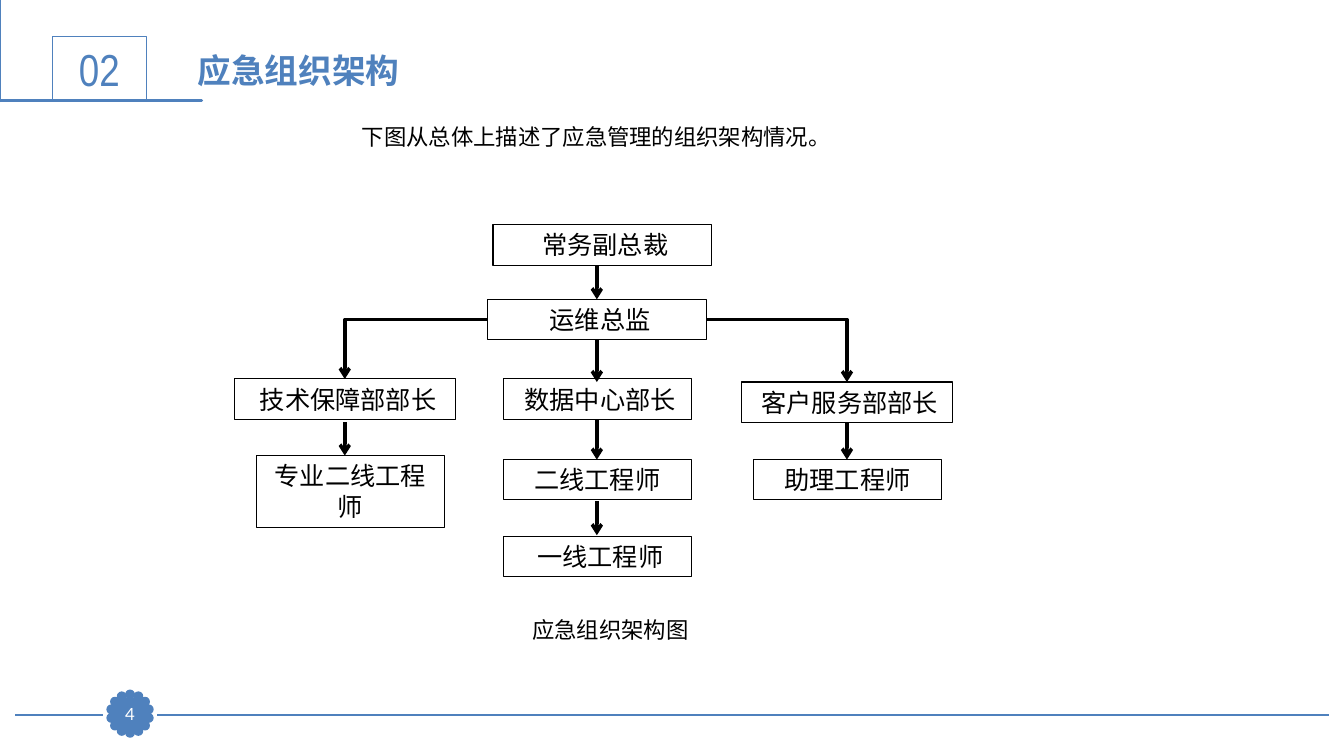
"""Builds the emergency organisation chart slide."""
import math
from pptx import Presentation
from pptx.dml.color import RGBColor
from pptx.enum import shapes, text
from pptx.oxml import ns
from pptx.util import Inches, Pt
from lxml import etree

BLUE = RGBColor(0x4F, 0x81, 0xBD)
GREEN = RGBColor(0x33, 0x99, 0x33)
BLACK = RGBColor(0, 0, 0)
WHITE = RGBColor(255, 255, 255)

TITLE = "应急组织架构"
SECTION = "02"
PAGE = "4"
INTRO = "下图从总体上描述了应急管理的组织架构情况。"
CAPTION = "应急组织架构图"
POSTS = [
    (" 常务副总裁", 4.89, 2.23, 2.17, 0.4),
    (" 运维总监", 4.84, 2.97, 2.17, 0.4),
    (" 数据中心部长", 4.99, 3.76, 1.87, 0.4),
    ("二线工程师", 4.99, 4.56, 1.87, 0.4),
    (" 一线工程师", 4.99, 5.32, 1.87, 0.4),
    (" 客户服务部部长", 7.35, 3.79, 2.1, 0.4),
    ("助理工程师", 7.47, 4.56, 1.87, 0.4),
    (" 技术保障部部长", 2.33, 3.76, 2.19, 0.4),
    ("专业二线工程师", 2.54, 4.52, 1.87, 0.71),
]
TECH_X, DATA_X, SERVICE_X = 3.42, 5.92, 8.4
REPORTS = [
    (DATA_X, 2.63, 2.97), (DATA_X, 3.37, 3.79), (DATA_X, 4.16, 4.56),
    (DATA_X, 4.97, 5.31), (SERVICE_X, 4.19, 4.56), (TECH_X, 4.19, 4.52),
]
BRANCHES = [(4.84, 3.17, TECH_X, 3.76), (7.01, 3.17, SERVICE_X, 3.79)]
FOOTER_Y = 7.09
FOOTER_LINES = [(13.18, 1.56), (1.02, 0.15)]
PETALS, PETAL_SIZE, PETAL_RING = 14, 0.07, 0.19
BADGE_X, BADGE_Y = 1.29, 7.08
ORNAMENT = [
    (0.38, 0.46), (0.38, 0.92), (1.71, 0.92), (1.71, 0.94), (0.36, 0.94),
    (0.36, 0.48), (0.31, 0.48), (0.31, 0.94), (0.19, 0.94), (0.19, 0.46),
    (0.23, 0.46), (0.23, 0.91), (0.28, 0.91), (0.28, 0.46),
]
GROW = text.MSO_AUTO_SIZE.SHAPE_TO_FIT_TEXT
CENTER = text.PP_ALIGN.CENTER
LEFT = text.PP_ALIGN.LEFT


def write(holder, words, size, face, color, align=LEFT, bold=False, spacing=1.0, **frame_format):
    frame = holder.text_frame
    settings = {"word_wrap": True, "auto_size": GROW,
                "vertical_anchor": text.MSO_ANCHOR.TOP, **frame_format}
    for key, value in settings.items():
        setattr(frame, key, value)
    line = frame.paragraphs[0]
    line.alignment, line.line_spacing = align, spacing
    run = line.add_run()
    run.text = words
    for key, value in {"size": Pt(size), "name": face, "bold": bold}.items():
        setattr(run.font, key, value)
    run.font.color.rgb = color
    east_asian = etree.SubElement(run.font._element, ns.qn("a:ea"))
    east_asian.set("typeface", "Noto Sans CJK SC")


def paint(shape, line, width, fill=None):
    shape.shadow.inherit = False
    if fill is None:
        shape.fill.background()
    else:
        shape.fill.solid()
        shape.fill.fore_color.rgb = fill
    shape.line.color.rgb = line
    shape.line.width = Pt(width)
    return shape


def add_preset(slide, preset, place, line, width, fill=None):
    return paint(slide.shapes.add_shape(preset, *map(Inches, place)), line, width, fill)


def connect(slide, ends, color, width, arrow=False, bent=False):
    kind = shapes.MSO_CONNECTOR.ELBOW if bent else shapes.MSO_CONNECTOR.STRAIGHT
    link = slide.shapes.add_connector(kind, *map(Inches, ends))
    link.line.color.rgb = color
    link.line.width = Pt(width)
    properties = link._element.spPr
    if bent:
        properties.find(ns.qn("a:prstGeom")).set("prst", "bentConnector2")
    if arrow:
        etree.SubElement(link.line._get_or_add_ln(), ns.qn("a:tailEnd")).set("type", "arrow")
    etree.SubElement(properties, ns.qn("a:effectLst"))


def add_footer(slide):
    for start, end in FOOTER_LINES:
        connect(slide, (start, FOOTER_Y, end, FOOTER_Y), BLUE, 1.25)
    for petal in range(PETALS):
        angle = 2 * math.pi * petal / PETALS
        left = BADGE_X + PETAL_RING * math.sin(angle) - PETAL_SIZE / 2
        top = BADGE_Y - PETAL_RING * math.cos(angle) - PETAL_SIZE / 2
        add_preset(slide, shapes.MSO_SHAPE.OVAL, (left, top, PETAL_SIZE, PETAL_SIZE), BLUE, 2, BLUE)
    page = add_preset(slide, shapes.MSO_SHAPE.RECTANGLE, (1.13, 6.93, 0.32, 0.31), BLUE, 0.75, BLUE)
    margins = dict.fromkeys(("margin_left", "margin_top", "margin_right", "margin_bottom"), 0)
    write(page, PAGE, 12, "Lato", WHITE, CENTER, auto_size=text.MSO_AUTO_SIZE.NONE,
          vertical_anchor=text.MSO_ANCHOR.MIDDLE, **margins)


def add_heading(slide):
    outline = slide.shapes.build_freeform(*ORNAMENT[0], scale=Inches(1))
    outline.add_line_segments(ORNAMENT[1:], close=True)
    paint(outline.convert_to_shape(), BLUE, 2, GREEN)
    section = add_preset(slide, shapes.MSO_SHAPE.RECTANGLE, (0.52, 0.36, 0.93, 0.64), BLUE, 0.75)
    write(section, SECTION, 32, "Arial Narrow", BLUE, CENTER,
          vertical_anchor=text.MSO_ANCHOR.MIDDLE)
    title = slide.shapes.title
    place = {"left": 1.86, "top": 0.44, "width": 9.69, "height": 0.51}
    for key, value in place.items():
        setattr(title, key, Inches(value))
    write(title, TITLE, 24, "Noto Sans CJK SC", BLUE, bold=True)


def add_chart_of_posts(slide):
    intro = slide.shapes.add_textbox(*map(Inches, (3.49, 1.17, 4.91, 0.37)))
    write(intro, INTRO, 16, "Calibri", BLACK, word_wrap=False)
    caption = slide.shapes.add_textbox(*map(Inches, (5.18, 5.93, 1.81, 0.51)))
    write(caption, CAPTION, 16, "Lato", BLACK, spacing=1.5)
    for post, *place in POSTS:
        box = add_preset(slide, shapes.MSO_SHAPE.RECTANGLE, place, BLACK, 0.75)
        write(box, post, 18, "Lato", BLACK, CENTER)
    for x, top, bottom in REPORTS:
        connect(slide, (x, top, x, bottom), BLACK, 2.5, arrow=True)
    for branch in BRANCHES:
        connect(slide, branch, BLACK, 2.5, arrow=True, bent=True)


def main():
    deck = Presentation()
    deck.slide_width, deck.slide_height = Inches(13.33), Inches(7.5)
    slide = deck.slides.add_slide(deck.slide_layouts[5])
    add_footer(slide)
    add_heading(slide)
    add_chart_of_posts(slide)
    deck.save("out.pptx")


if __name__ == "__main__":
    main()
